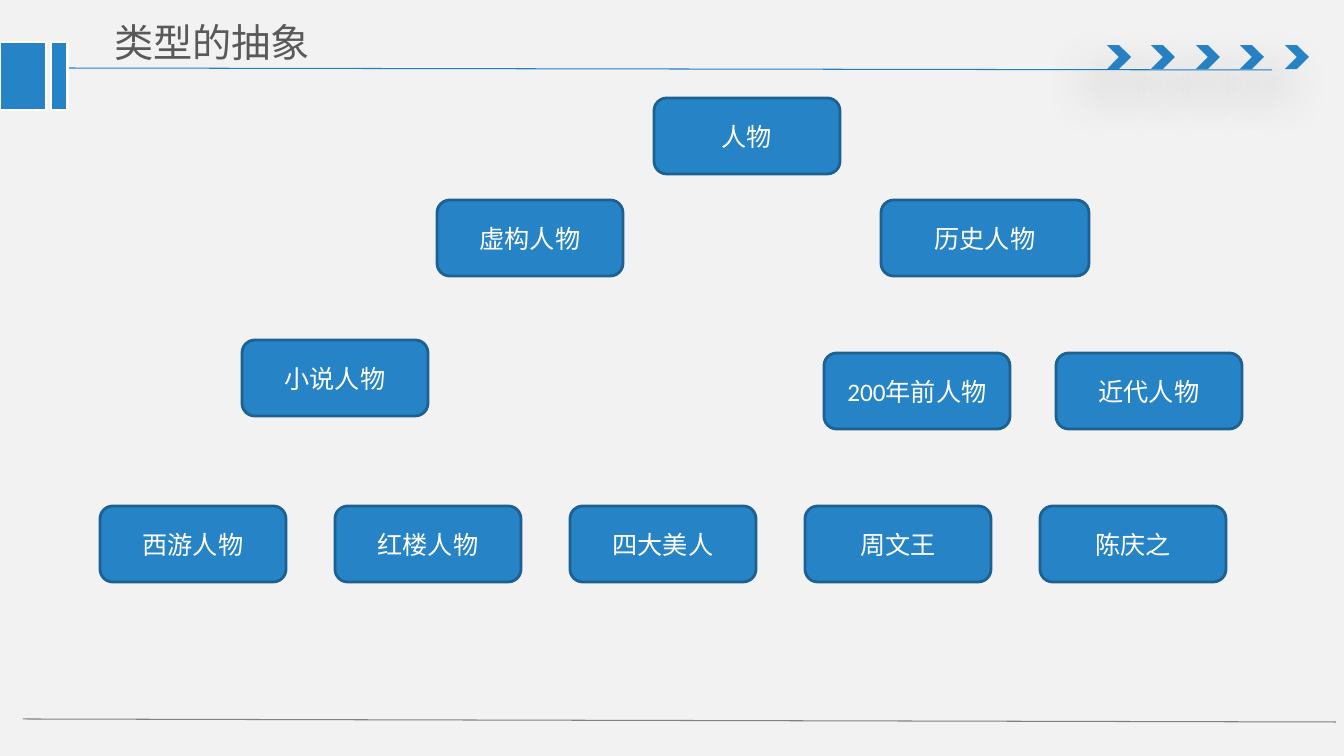
from lxml import etree
from pptx import Presentation
from pptx import util as u
from pptx.dml.color import RGBColor
from pptx.enum import shapes, text
from pptx.oxml import parse_xml
from pptx.oxml.ns import nsdecls, qn

BLUE = RGBColor(0x26, 0x83, 0xC6)
RULE_BLUE = RGBColor(0x21, 0x81, 0xC6)
DARK_BLUE = RGBColor(0x1C, 0x61, 0x92)
WHITE = RGBColor(0xFF, 0xFF, 0xFF)
PAPER = RGBColor(0xF2, 0xF2, 0xF2)
GREY = RGBColor(0x80, 0x80, 0x80)
TITLE_GREY = RGBColor(0x59, 0x59, 0x59)
CJK_FONT = "Noto Sans CJK SC"
MSO = shapes.MSO_SHAPE

BOX_W, BOX_H = 186, 76
LEAF_X, LEAF_Y, LEAF_STEP = 100, 506, 235
LEAVES = ["西游人物", "红楼人物", "四大美人", "周文王", "陈庆之"]
# label, left, top, width
GROUPS = [
    ("人物", 654, 98, BOX_W),
    ("虚构人物", 437, 200, BOX_W),
    ("历史人物", 881, 200, 208),
    ("小说人物", 242, 340, BOX_W),
    ("200年前人物", 824, 353, BOX_W),
    ("近代人物", 1056, 353, BOX_W),
]


def px(n):
    return u.Emu(round(n * 914400 / 100.8))


def set_attrs(obj, values):
    for name, value in values.items():
        setattr(obj, name, value)


def write(p, words, size, font, color):
    r = p.add_run()
    r.text = words
    set_attrs(r.font, {"size": u.Pt(size), "name": font})
    r.font.color.rgb = color
    r.font._element.find(qn("a:latin")).addnext(
        parse_xml(f'<a:ea {nsdecls("a")} typeface="{CJK_FONT}"/>'))


def add_block(slide, kind, left, top, width, height, line=None):
    sp = slide.shapes.add_shape(kind, px(left), px(top), px(width), px(height))
    sp.shadow.inherit = False
    sp.fill.solid()
    sp.fill.fore_color.rgb = BLUE
    if line is None:
        sp.line.fill.background()
    else:
        sp.line.color.rgb = line
        sp.line.width = u.Pt(2)
    return sp


def add_chevron(slide, left):
    sp = add_block(slide, MSO.CHEVRON, left, 45, 24, 24)
    effects = sp._element.spPr.find(qn("a:effectLst"))
    effects.append(parse_xml(
        f'<a:outerShdw {nsdecls("a")} blurRad="{u.Pt(36)}" dist="{u.Pt(24)}" '
        f'dir="{130 * 60000}" rotWithShape="0"><a:srgbClr val="000000">'
        '<a:alpha val="38000"/></a:srgbClr></a:outerShdw>'))


def add_rule(slide, x1, y1, x2, y2, color):
    line = slide.shapes.add_connector(
        shapes.MSO_CONNECTOR.STRAIGHT, px(x1), px(y1), px(x2), px(y2))
    line.line.color.rgb = color
    line.line.width = u.Pt(0.75)
    etree.SubElement(line._element.spPr, qn("a:effectLst"))


def add_type_box(slide, label, left, top, width=BOX_W):
    sp = add_block(slide, MSO.ROUNDED_RECTANGLE, left, top, width, BOX_H, DARK_BLUE)
    tf = sp.text_frame
    set_attrs(tf, {"word_wrap": True, "vertical_anchor": text.MSO_ANCHOR.MIDDLE})
    p = tf.paragraphs[0]
    p.alignment = text.PP_ALIGN.CENTER
    write(p, label, 18, "Calibri", WHITE)


def set_title(slide, words):
    sp = slide.shapes.title
    set_attrs(sp, {"left": px(100), "top": px(14), "width": px(467), "height": px(55)})
    tf = sp.text_frame
    set_attrs(tf, {
        "margin_left": px(14), "margin_right": px(14),
        "margin_top": px(7), "margin_bottom": px(7),
        "word_wrap": True, "auto_size": text.MSO_AUTO_SIZE.NONE,
        "vertical_anchor": text.MSO_ANCHOR.MIDDLE,
    })
    p = tf.paragraphs[0]
    p.alignment = text.PP_ALIGN.LEFT
    write(p, words, 28, CJK_FONT, TITLE_GREY)


def main():
    prs = Presentation()
    set_attrs(prs, {"slide_width": px(1344), "slide_height": px(756)})
    slide = prs.slides.add_slide(prs.slide_layouts[5])
    slide.background.fill.solid()
    slide.background.fill.fore_color.rgb = PAPER

    # Header and footer decoration
    add_rule(slide, 53, 68, 1272, 70, RULE_BLUE)
    for i in range(5):
        add_chevron(slide, 1107 + 89 * i // 2)
    add_rule(slide, 23, 719, 1336, 722, GREY)
    for left, width in ((0, 46), (51, 17)):
        add_block(slide, MSO.RECTANGLE, left, 42, width, 68, WHITE)
    set_title(slide, "类型的抽象")

    # Type hierarchy
    for i, label in enumerate(LEAVES):
        add_type_box(slide, label, LEAF_X + i * LEAF_STEP, LEAF_Y)
    for group in GROUPS:
        add_type_box(slide, *group)

    prs.save("out.pptx")


if __name__ == "__main__":
    main()
